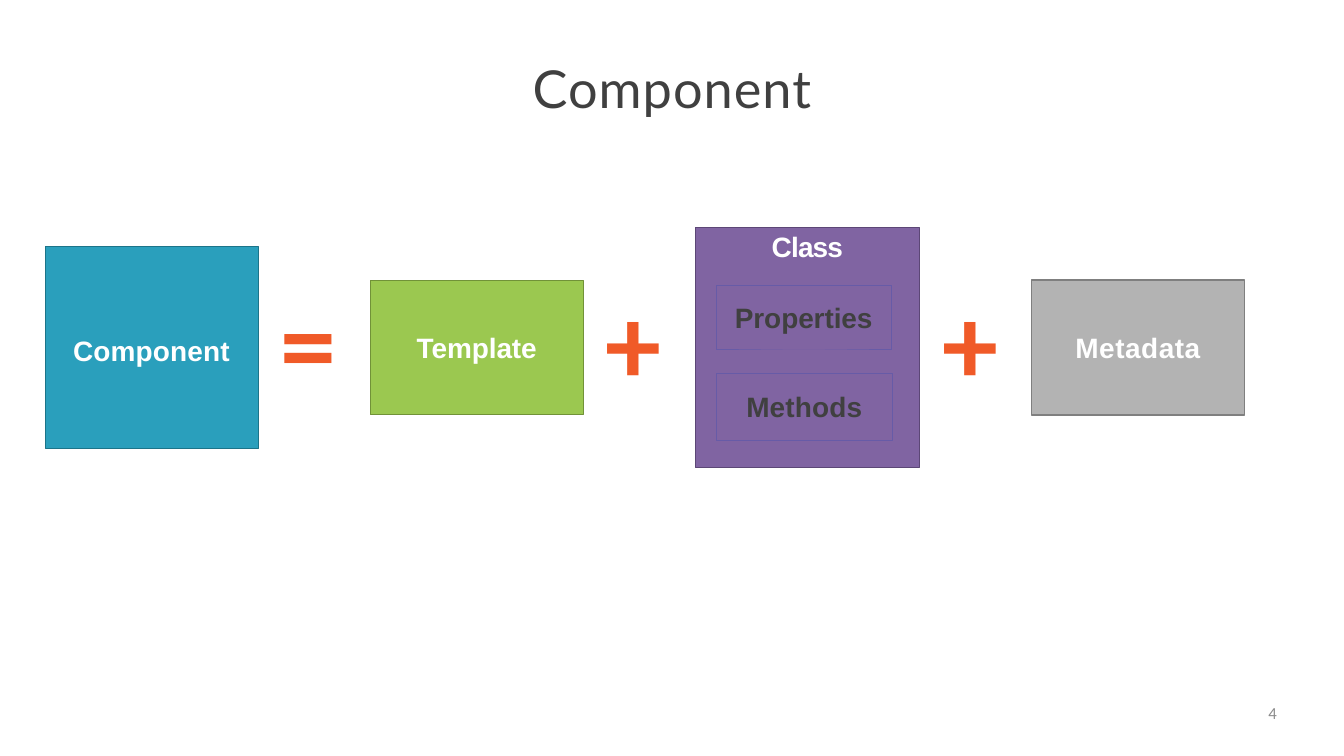
from dataclasses import dataclass
from typing import Optional

from pptx import Presentation
from pptx.dml.color import RGBColor
from pptx.enum.shapes import MSO_SHAPE
from pptx.enum.text import MSO_ANCHOR, PP_ALIGN
from pptx.util import Pt

SCALE = 9144  # EMU in one px, 100 px to the inch


@dataclass(frozen=True)
class Theme:
    ink: str = "404040"
    white: str = "FFFFFF"
    teal: str = "2A9FBC"
    green: str = "9BC850"
    purple: str = "8064A2"
    grey: str = "B3B3B3"
    frame: str = "675BA7"
    sign: str = "F05A28"
    faint: str = "8C8C8C"
    head: int = 56
    label: int = 30
    mark: int = 120
    page: int = 18


THEME = Theme()


@dataclass(frozen=True)
class Style:
    face: str
    size: int
    color: str
    bold: bool = False
    align: PP_ALIGN = PP_ALIGN.CENTER
    anchor: MSO_ANCHOR = MSO_ANCHOR.TOP


@dataclass(frozen=True)
class Box:
    text: str
    left: int
    top: int
    width: int
    height: int
    line: str
    fill: Optional[str] = None
    color: str = THEME.white
    weight: float = 1
    anchor: MSO_ANCHOR = MSO_ANCHOR.MIDDLE
    inset: int = 0
    space: int = 0


@dataclass(frozen=True)
class Sign:
    text: str
    left: int
    space: int


BOXES = (
    Box("Component", 67, 367, 317, 300, "1C7489", THEME.teal, inset=10, space=20),
    Box("Template", 551, 417, 317, 200, "719238", THEME.green, space=-10),
    Box("Class", 1035, 338, 333, 358, "5C4776", THEME.purple,
        anchor=MSO_ANCHOR.TOP, inset=4, space=-90),
    Box("Properties", 1066, 424, 260, 95, THEME.frame, color=THEME.ink,
        weight=0.5, space=-10),
    Box("Methods", 1066, 555, 262, 100, THEME.frame, color=THEME.ink,
        weight=0.5, space=20),
    Box("Metadata", 1535, 417, 317, 200, "7F7F7F", THEME.grey, weight=2, space=60),
)
SIGNS = (Sign("=", 418, 40), Sign("+", 901, 110), Sign("+", 1402, 110))


def place(shape, left: int, top: int, width: int, height: int) -> None:
    shape.left, shape.top = left * SCALE, top * SCALE
    shape.width, shape.height = width * SCALE, height * SCALE


def write(shape, text: str, style: Style, inset: int = 0, space: int = 0,
          wrap: bool = True) -> None:
    """Put one line of text in a shape; space is in hundredths of a point."""
    frame = shape.text_frame
    frame.word_wrap = wrap
    frame.vertical_anchor = style.anchor
    frame.margin_left = frame.margin_right = frame.margin_bottom = 0
    frame.margin_top = inset * SCALE
    para = frame.paragraphs[0]
    para.alignment = style.align
    run = para.add_run()
    run.text = text
    font = para.font
    font.name, font.size, font.bold = style.face, Pt(style.size), style.bold
    font.color.rgb = RGBColor.from_string(style.color)
    if space:
        run._r.get_or_add_rPr().set("spc", str(space))


def draw_box(slide, box: Box) -> None:
    shape = slide.shapes.add_shape(MSO_SHAPE.RECTANGLE, 0, 0, 0, 0)
    place(shape, box.left, box.top, box.width, box.height)
    shape.shadow.inherit = False
    if box.fill:
        shape.fill.solid()
        shape.fill.fore_color.rgb = RGBColor.from_string(box.fill)
    else:
        shape.fill.background()
    shape.line.color.rgb = RGBColor.from_string(box.line)
    shape.line.width = Pt(box.weight)
    style = Style("Arial", THEME.label, box.color, True, anchor=box.anchor)
    write(shape, box.text, style, box.inset, box.space)


def draw_sign(slide, sign: Sign) -> None:
    shape = slide.shapes.add_textbox(0, 0, 0, 0)
    place(shape, sign.left, 405, 92, 203)
    style = Style("Calibri", THEME.mark, THEME.sign, True, PP_ALIGN.LEFT)
    write(shape, sign.text, style, 1, sign.space)


def main() -> None:
    deck = Presentation()
    deck.slide_width, deck.slide_height = 2000 * SCALE, 1125 * SCALE
    slide = deck.slides.add_slide(deck.slide_layouts[5])

    # Title
    title = slide.shapes.title
    place(title, 790, 82, 420, 96)
    write(title, "Component", Style("Lato", THEME.head, THEME.ink), 1, 110, False)

    # Equation: boxes and the signs between them
    for box in BOXES:
        draw_box(slide, box)
    for sign in SIGNS:
        draw_sign(slide, sign)

    # Page number
    page = slide.shapes.add_textbox(0, 0, 0, 0)
    place(page, 1440, 1046, 460, 56)
    write(page, "4", Style("Calibri", THEME.page, THEME.faint, align=PP_ALIGN.RIGHT))

    deck.save("out.pptx")


if __name__ == "__main__":
    main()
